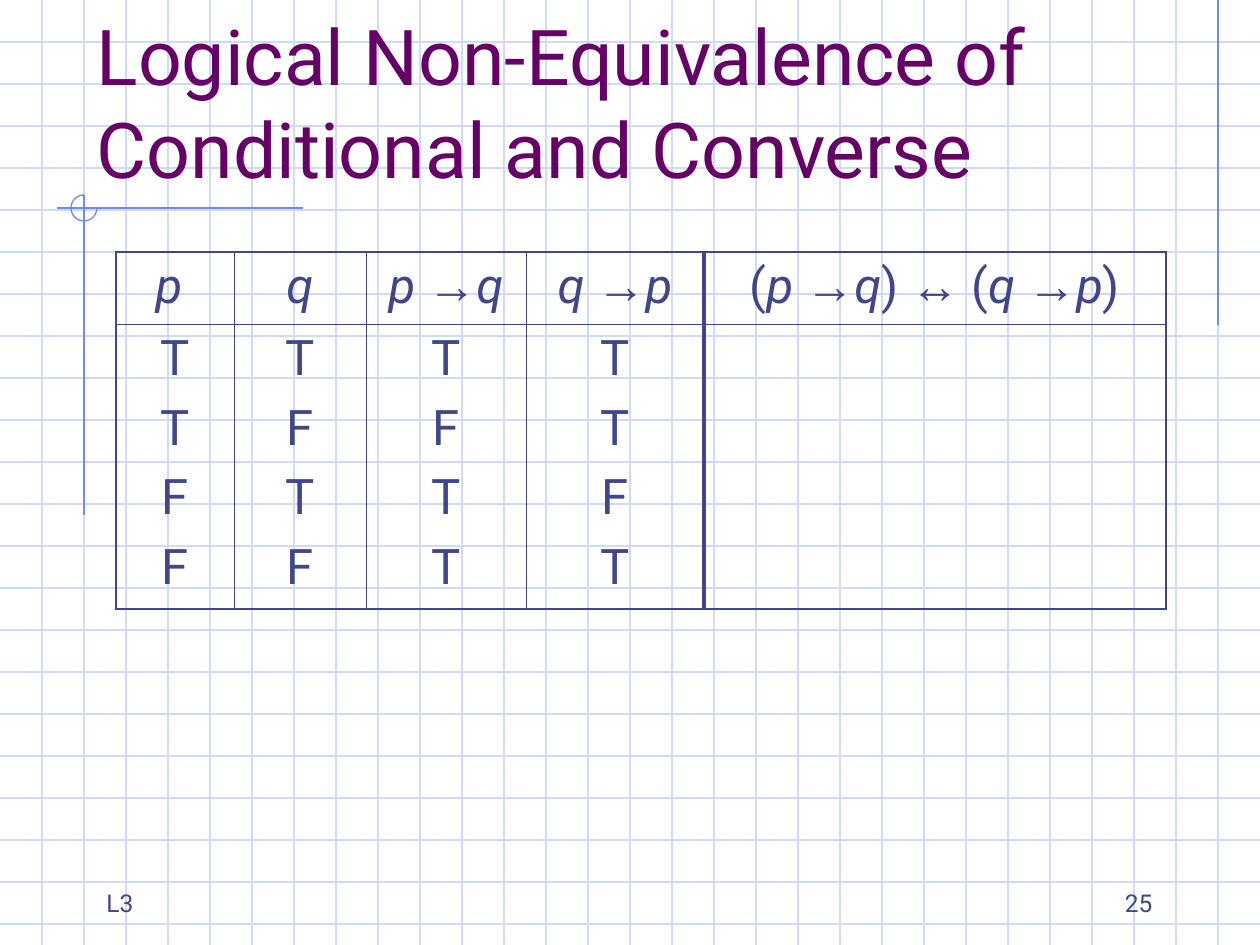
from itertools import groupby

from lxml.etree import SubElement
from pptx import Presentation
from pptx.dml.color import RGBColor
from pptx.enum.shapes import MSO_CONNECTOR, MSO_SHAPE
from pptx.enum.text import MSO_ANCHOR, MSO_AUTO_SIZE, PP_ALIGN
from pptx.oxml import parse_xml
from pptx.oxml.ns import nsdecls, qn
from pptx.util import Emu, Pt

WIDE, HIGH = 1260, 945
GRID, ACCENT, INK, PLUM = "CFDBFD", "6F89F7", "40458C", "660066"
ARROWS = "→↔"
HEADS = ["p ", "q", "p →q", "q →p", "(p →q) ↔ (q →p)"]
TRUTHS = ["TTFF", "TFTF", "TFTT", "TTFT", ""]
COLS = [118, 132, 160, 178, 462]
ROWS = [72, 285]
SPLIT = 4  # the column that starts after the heavy rule


def px(n):
    return Emu(round(n * 914400 / 126))


def color(code):
    return RGBColor.from_string(code)


def kind(char):
    if char in ARROWS:
        return "arrow"
    return "name" if char.islower() else "plain"


def write(frame, text, size=28, ink=INK, align=PP_ALIGN.LEFT, gap=0, math=False):
    """Fill a text frame; math sets names in italics and arrows in Arial."""
    for i, line in enumerate(text.split("\n")):
        para = frame.paragraphs[0] if i == 0 else frame.add_paragraph()
        para.alignment = align
        if i and gap:
            para.space_before = Pt(gap)
        parts = groupby(line, kind) if math else [("plain", line)]
        for sort, chars in parts:
            run = para.add_run()
            run.text = "".join(chars)
            font = run.font
            font.name = "Arial" if sort == "arrow" else "Roboto"
            font.size = Pt(size)
            font.italic = sort == "name"
            font.color.rgb = color(ink)


def rule(shapes, x1, y1, x2, y2, ink):
    line = shapes.add_connector(MSO_CONNECTOR.STRAIGHT, px(x1), px(y1), px(x2), px(y2))
    line.line.color.rgb = color(ink)
    line.line.width = Pt(0.75)
    SubElement(line.element.spPr, qn("a:effectLst"))


def grid(shapes, wide, high, step=42):
    for y in range(step, high, step):
        rule(shapes, 0, y, wide, y, GRID)
    for x in range(step, wide, step):
        rule(shapes, x, 0, x, high, GRID)


def accents(shapes, x, y):
    """Draw the crossing rules and open ring centred at x, y, and the right rule."""
    rule(shapes, WIDE - 42, 0, WIDE - 42, 325, ACCENT)
    rule(shapes, x + 219, y, x - 27, y, ACCENT)
    rule(shapes, x, y - 13, x, y + 307, ACCENT)
    ring = shapes.add_shape(MSO_SHAPE.ARC, px(x - 13), px(y - 13), px(26), px(26))
    ring.shadow.inherit = False
    ring.adjustments[0] = 0
    ring.adjustments[1] = 162  # 270 degrees
    ring.fill.background()
    ring.line.color.rgb = color(ACCENT)
    ring.line.width = Pt(0.75)


def heading(slide, x, y, w, h):
    title = slide.shapes.title
    slide.shapes.element.append(title.element)  # bring in front of the grid
    title.left, title.top, title.width, title.height = map(px, (x, y, w, h))
    frame = title.text_frame
    frame.auto_size = MSO_AUTO_SIZE.NONE
    frame.vertical_anchor = MSO_ANCHOR.BOTTOM
    write(frame, "Logical Non-Equivalence of Conditional and Converse", size=44, ink=PLUM)


def edge(cell, row, col):
    """Set the four borders by the cell's place in the table."""
    def weight(at, last):
        return 1.08 if at in (0, last) else 0.45

    def side(at):
        return 3 if at == SPLIT else weight(at, len(COLS))

    sizes = {"L": side(col), "R": side(col + 1),
             "T": weight(row, len(ROWS)), "B": weight(row + 1, len(ROWS))}
    props = cell._tc.get_or_add_tcPr()
    for i, (name, size) in enumerate(sizes.items()):
        props.insert(i, parse_xml(
            f'<a:ln{name} {nsdecls("a")} w="{Pt(size)}"><a:solidFill>'
            f'<a:srgbClr val="{INK}"/></a:solidFill></a:ln{name}>'))


def truths(shapes, x, y):
    table = shapes.add_table(len(ROWS), len(COLS), px(x), px(y),
                             px(sum(COLS)), px(sum(ROWS))).table
    table.first_row = table.horz_banding = False
    for row, high in zip(table.rows, ROWS):
        row.height = px(high)
    for c, wide in enumerate(COLS):
        table.columns[c].width = px(wide)
        for r, text in enumerate((HEADS[c], "\n".join(TRUTHS[c]))):
            cell = table.cell(r, c)
            cell.fill.background()
            edge(cell, r, c)
            write(cell.text_frame, text, align=PP_ALIGN.CENTER, gap=7, math=True)


def footer(shapes, x, y, w, h, text, align):
    frame = shapes.add_textbox(px(x), px(y), px(w), px(h)).text_frame
    frame.word_wrap = True
    frame.vertical_anchor = MSO_ANCHOR.BOTTOM
    write(frame, text, size=14, align=align)


def main():
    deck = Presentation()
    deck.slide_width, deck.slide_height = px(WIDE), px(HIGH)
    slide = deck.slides.add_slide(deck.slide_layouts[5])
    shapes = slide.shapes
    grid(shapes, WIDE, HIGH)
    accents(shapes, 84, 208)
    heading(slide, 84, 42, 1071, 158)
    truths(shapes, 116, 252)
    footer(shapes, 903, 861, 262, 63, "25", PP_ALIGN.RIGHT)
    footer(shapes, 94, 861, 262, 63, "L3", PP_ALIGN.LEFT)
    deck.save("out.pptx")


if __name__ == "__main__":
    main()
